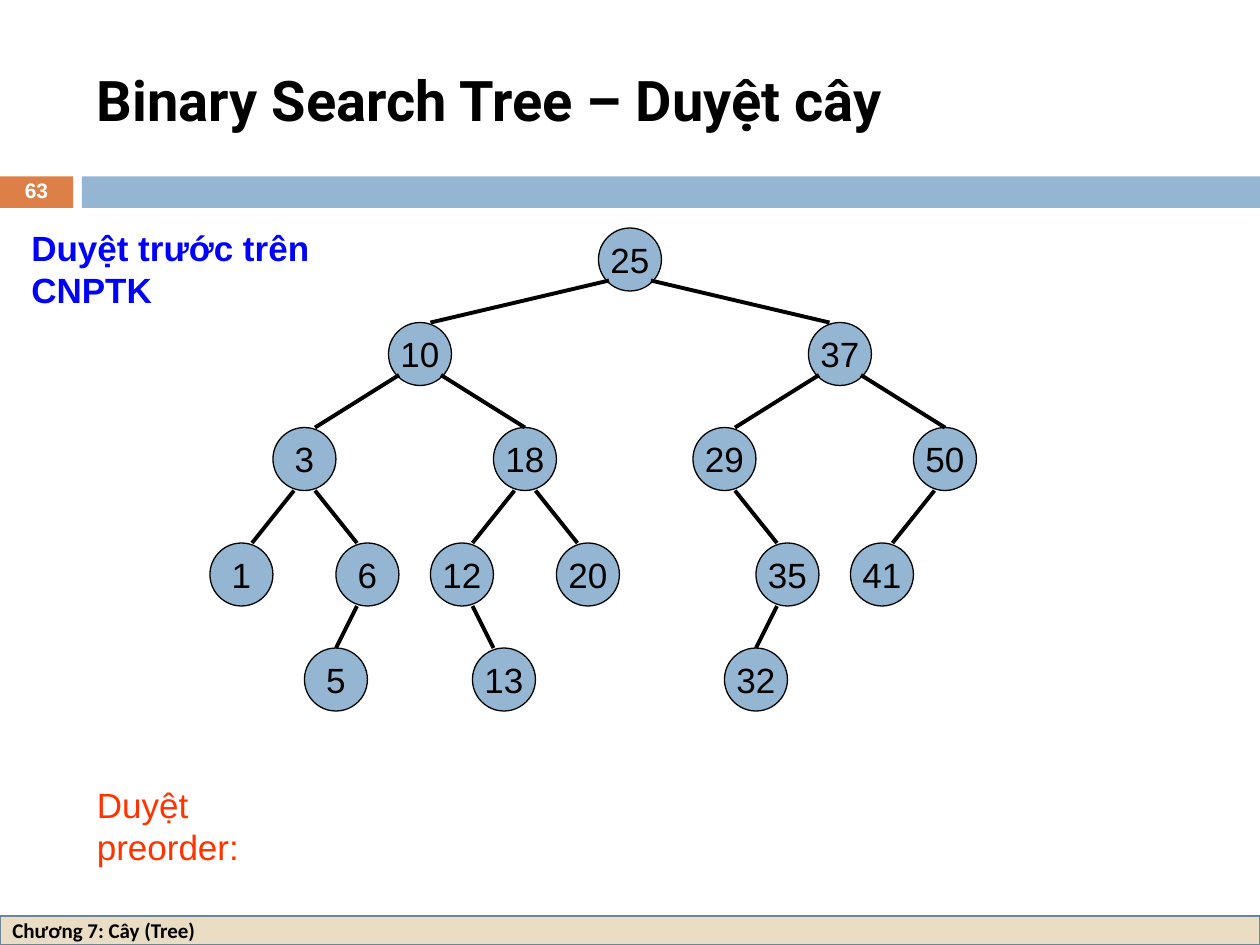
from pptx import Presentation, util as u
from pptx.dml.color import RGBColor
from pptx.enum import shapes, text
from pptx.oxml.ns import qn
from lxml import etree

BLACK = RGBColor(0x00, 0x00, 0x00)
WHITE = RGBColor(0xFF, 0xFF, 0xFF)
BLUE = RGBColor(0x00, 0x00, 0xFF)
RED = RGBColor(0xFF, 0x33, 0x00)
ORANGE = RGBColor(0xDD, 0x80, 0x47)
SKY = RGBColor(0x94, 0xB6, 0xD2)
SAND = RGBColor(0xEB, 0xDD, 0xC3)
SLATE = RGBColor(0x6B, 0x85, 0x9A)

presentation = Presentation()
presentation.slide_width = u.Inches(10)
presentation.slide_height = u.Inches(7.5)
slide = presentation.slides.add_slide(presentation.slide_layouts[6])
UNIT = presentation.slide_width / 120
TREE_TOP = u.Inches(1.81)


def write(shape, words, size=20, font="Arial", color=BLACK, bold=False, wrap=False,
          align=text.PP_ALIGN.LEFT, anchor=text.MSO_ANCHOR.MIDDLE, spacing=None):
    frame = shape.text_frame
    frame.word_wrap = wrap
    frame.vertical_anchor = anchor
    paragraph = frame.paragraphs[0]
    paragraph.alignment = align
    paragraph.line_spacing = spacing
    run = paragraph.add_run()
    run.text = words
    run.font.size = u.Pt(size)
    run.font.name = font
    run.font.bold = bold
    run.font.color.rgb = color


def add_filled(kind, box, fill, line=None, width=0.75):
    shape = slide.shapes.add_shape(kind, *(int(length) for length in box))
    shape.shadow.inherit = False
    shape.fill.solid()
    shape.fill.fore_color.rgb = fill
    if line is None:
        shape.line.fill.background()
    else:
        shape.line.color.rgb = line
        shape.line.width = u.Pt(width)
    return shape


bars = [
    ((0, 1.4, 0.58, 0.25), ORANGE, None),
    ((0.65, 1.4, 9.35, 0.25), SKY, None),
    ((0, 7.27, 10, 0.23), SAND, SLATE),
]
for box, fill, line in bars:
    bar = add_filled(shapes.MSO_SHAPE.RECTANGLE, map(u.Inches, box), fill, line, 1.5)
write(bar, "Chương 7: Cây (Tree)", size=12, font="Calibri", bold=True, wrap=True)

labels = [
    ((0.67, 0.25, 8.92, 1.08), "Binary Search Tree – Duyệt cây",
     dict(size=32, font="Roboto", bold=True, wrap=True)),
    ((0, 1.39, 0.58, 0.27), "63",
     dict(size=12, color=WHITE, bold=True, wrap=True, spacing=0.8, align=text.PP_ALIGN.CENTER)),
    ((0.67, 6.17, 2.13, 0.44), "Duyệt preorder:",
     dict(color=RED, anchor=text.MSO_ANCHOR.TOP)),
    ((0.15, 1.75, 3.44, 0.44), "Duyệt trước trên CNPTK",
     dict(color=BLUE, bold=True, anchor=text.MSO_ANCHOR.TOP)),
]
for box, words, style in labels:
    write(slide.shapes.add_textbox(*map(u.Inches, box)), words, **style)

# key: (column, level, parent, column where the edge lands on the node)
level_rows = [0, 9, 19, 30, 40]
nodes = {
    25: (57, 0, None, 0),
    10: (37, 1, 25, 4),
    3: (26, 2, 10, 4),
    1: (20, 3, 3, 4),
    6: (32, 3, 3, 2),
    5: (29, 4, 6, 3),
    18: (47, 2, 10, 3),
    12: (41, 3, 18, 4),
    20: (53, 3, 18, 2),
    13: (45, 4, 12, 2),
    37: (77, 1, 25, 2),
    29: (66, 2, 37, 4),
    35: (72, 3, 29, 2),
    32: (69, 4, 35, 3),
    50: (87, 2, 37, 3),
    41: (81, 3, 50, 4),
}
for key, (column, level, parent, landing) in nodes.items():
    box = (column * UNIT, TREE_TOP + level_rows[level] * UNIT, 6 * UNIT, 6 * UNIT)
    circle = add_filled(shapes.MSO_SHAPE.OVAL, box, SKY, BLACK)
    write(circle, str(key), align=text.PP_ALIGN.CENTER)

for key, (column, level, parent, landing) in nodes.items():
    if parent is None:
        continue
    parent_column, parent_level = nodes[parent][:2]
    side = 1 if key > parent else -1
    reach, drop = (2, 5) if parent_level < 2 else (1, 6)
    edge = slide.shapes.add_connector(
        shapes.MSO_CONNECTOR.STRAIGHT,
        int((parent_column + 3 + side * reach) * UNIT),
        int(TREE_TOP + (level_rows[parent_level] + drop) * UNIT),
        int((column + landing) * UNIT),
        int(TREE_TOP + level_rows[level] * UNIT))
    edge.line.color.rgb = BLACK
    edge.line.width = u.Pt(2.25)
    etree.SubElement(edge._element.spPr, qn("a:effectLst"))

presentation.save("out.pptx")
